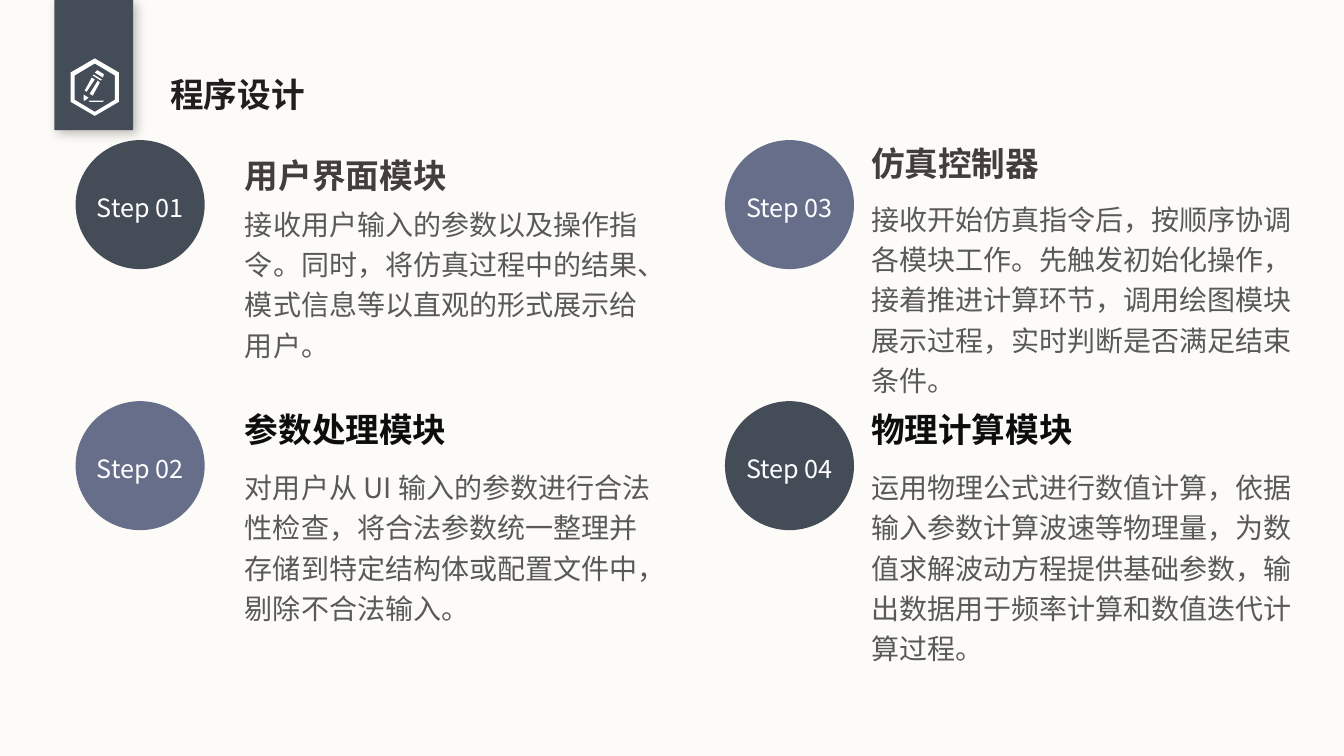
"""Builds the programme design slide: four modules in a two by two grid."""
from lxml import etree
from pptx import Presentation
from pptx.dml.color import RGBColor
from pptx.enum.shapes import MSO_SHAPE
from pptx.enum.text import MSO_ANCHOR, PP_ALIGN
from pptx.oxml.ns import qn
from pptx.util import Inches, Pt

THEME = {
    "paper": "FCFBF7", "slate": "444D57", "violet": "666E8A", "white": "FFFFFF",
    "title": "211E20", "brown": "433D3C", "black": "0D0D0D", "body": "595959",
    "font": "Noto Sans CJK SC", "title_font": "Calibri",
    "head_size": 24, "body_size": 20, "step_size": 18,
}


def write(sp, text, size, color, bold=False, font="font", inset=0.0):
    tf = sp.text_frame
    tf.word_wrap = True
    tf.margin_left = tf.margin_right = Inches(inset)
    tf.margin_top = tf.margin_bottom = Inches(inset / 2)
    tf.text = text
    p = tf.paragraphs[0]
    p.line_spacing = 1.2
    r = p.runs[0]
    r.font.size = Pt(THEME[size])
    r.font.bold = bold
    r.font.name = THEME[font]
    r.font.color.rgb = RGBColor.from_string(THEME[color])
    ea = etree.SubElement(r.font._element, qn("a:ea"))
    ea.set("typeface", THEME["font"])
    return tf


def paint(sp, color):
    sp.shadow.inherit = False
    sp.fill.solid()
    sp.fill.fore_color.rgb = RGBColor.from_string(THEME[color])
    sp.line.fill.background()


prs = Presentation()
prs.slide_width, prs.slide_height = Inches(13.33), Inches(7.5)
s = prs.slides.add_slide(prs.slide_layouts[6])
s.background.fill.solid()
s.background.fill.fore_color.rgb = RGBColor.from_string(THEME["paper"])

ribbon = s.shapes.add_shape(MSO_SHAPE.RECTANGLE, Inches(0.54), 0, Inches(0.78), Inches(1.29))
paint(ribbon, "slate")
effects = ribbon._element.spPr.find(qn("a:effectLst"))
shadow = etree.SubElement(effects, qn("a:outerShdw"), blurRad=str(Pt(8)), dist=str(Pt(3)),
                          dir=str(45 * 60000), algn="tl", rotWithShape="0")
shade = etree.SubElement(shadow, qn("a:srgbClr"), val="000000")
etree.SubElement(shade, qn("a:alpha"), val="25000")

pencil_icon = [
    [(94, 58), (118, 72), (118, 101), (94, 115), (69.5, 101), (69.5, 72)],
    [(94, 63), (114, 75), (114, 99), (94, 111), (74, 99), (74, 75)],
    [(89, 100), (102, 100), (103, 100.5), (102, 101), (89, 101), (88, 100.5)],
    [(89, 93), (97, 80), (99, 82), (92, 95)],
    [(84, 90), (91, 77), (94, 79), (86, 91)],
    [(83, 100), (83, 94), (88, 97), (83.5, 100.5)],
    [(93, 74), (92, 75), (100, 80), (101, 79)],
    [(95, 71), (96, 70), (97, 70), (102, 73), (103, 74.5), (102, 77), (94, 72)],
]
fb = s.shapes.build_freeform(*pencil_icon[0][0], scale=Inches(0.01))
for outline in pencil_icon:
    fb.move_to(*outline[0])
    fb.add_line_segments(outline[1:], close=True)
paint(fb.convert_to_shape(), "white")

title = s.shapes.add_textbox(Inches(1.59), Inches(0.6), Inches(3.97), Inches(0.5))
write(title, "程序设计", "head_size", "title", True, "title_font", 0.1)

COL_X, ROW_Y, DOT = (0.75, 7.19), (1.39, 3.98), 1.28
TEXT_X = (2.43, 8.64)
modules = [
    ("用户界面模块", "接收用户输入的参数以及操作指令。同时，将仿真过程中的结果、模式信息等以直观的形式展示给用户。",
     1.46, 1.99, 4.09, 1.62),
    ("参数处理模块", "对用户从 UI 输入的参数进行合法性检查，将合法参数统一整理并存储到特定结构体或配置文件中，剔除不合法输入。",
     3.98, 4.6, 4.03, 1.62),
    ("仿真控制器", "接收开始仿真指令后，按顺序协调各模块工作。先触发初始化操作，接着推进计算环节，调用绘图模块展示过程，实时判断是否满足结束条件。",
     1.34, 1.94, 4.35, 1.97),
    ("物理计算模块", "运用物理公式进行数值计算，依据输入参数计算波速等物理量，为数值求解波动方程提供基础参数，输出数据用于频率计算和数值迭代计算过程。",
     3.98, 4.6, 4.25, 2.02),
]
for i, (head, body, head_y, body_y, width, height) in enumerate(modules):
    col, row = divmod(i, 2)
    dot = s.shapes.add_shape(MSO_SHAPE.OVAL, Inches(COL_X[col]), Inches(ROW_Y[row]),
                             Inches(DOT), Inches(DOT))
    paint(dot, "violet" if col != row else "slate")
    tf = write(dot, f"Step {i + 1:02d}", "step_size", "white")
    tf.word_wrap = False
    tf.vertical_anchor = MSO_ANCHOR.MIDDLE
    tf.paragraphs[0].alignment = PP_ALIGN.CENTER

    x = Inches(TEXT_X[col])
    heading = s.shapes.add_textbox(x, Inches(head_y), Inches(width), Inches(0.48))
    write(heading, head, "head_size", "black" if row else "brown", True)
    detail = s.shapes.add_textbox(x, Inches(body_y), Inches(width), Inches(height))
    write(detail, body, "body_size", "body")

prs.save("out.pptx")
